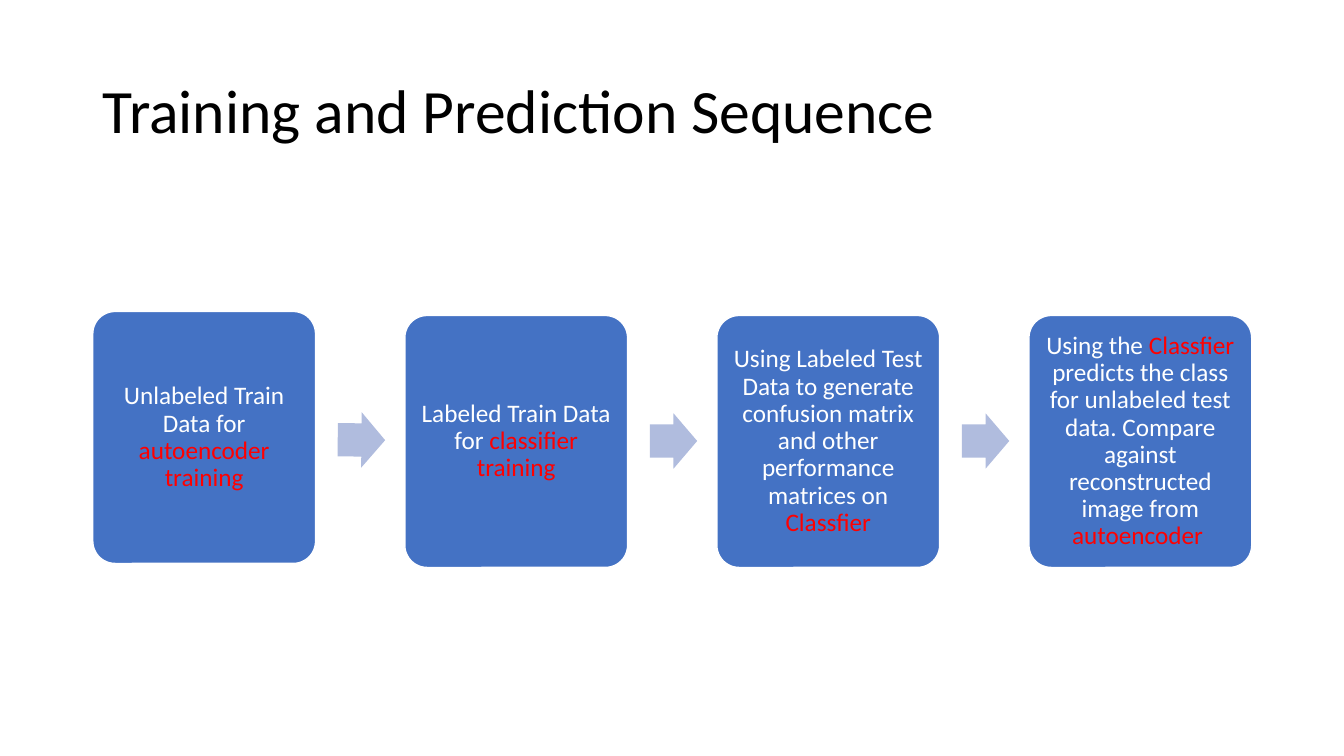
"""Builds the slide on the training and prediction sequence."""
from pptx import Presentation
from pptx.dml.color import RGBColor
from pptx.enum.shapes import MSO_SHAPE
from pptx.enum.text import MSO_ANCHOR, MSO_AUTO_SIZE, PP_ALIGN
from pptx.util import Inches, Pt

STEP_SHAPE, ARROW_SHAPE = MSO_SHAPE.ROUNDED_RECTANGLE, MSO_SHAPE.RIGHT_ARROW
MIDDLE, NO_FIT = MSO_ANCHOR.MIDDLE, MSO_AUTO_SIZE.NONE
LEFT, CENTER = PP_ALIGN.LEFT, PP_ALIGN.CENTER

HEADING = "Training and Prediction Sequence"
BLACK, WHITE, RED, BLUE, PALE_BLUE = "000000", "FFFFFF", "FF0000", "4472C4", "B0BCDE"
STEPS = [
    [("Unlabeled Train Data for ", WHITE), ("autoencoder training", RED)],
    [("Labeled Train Data for ", WHITE), ("classifier training", RED)],
    [("Using Labeled Test Data to generate confusion matrix and other "
      "performance matrices on ", WHITE), ("Classfier", RED)],
    [("Using the ", WHITE), ("Classfier", RED),
     (" predicts the class for unlabeled test data. Compare against "
      "reconstructed image from ", WHITE), ("autoencoder ", RED)],
]

STEP_LEFT, STEP_PITCH, STEP_WIDTH, STEP_HEIGHT = 0.92, 3.095, 2.21, 2.5
STEP_TOPS = [3.09, 3.13, 3.13, 3.13]
ARROW_OFFSET, ARROW_WIDTH, ARROW_HEIGHT = 2.43, 0.47, 0.55
ARROW_TOPS, ARROW_TURNS = [4.09, 4.1, 4.1], [0.6, 0, 0]
INSET = Inches(0.07)
STEP_FRAME = {"word_wrap": True, "auto_size": NO_FIT, "vertical_anchor": MIDDLE,
              "margin_left": INSET, "margin_right": INSET,
              "margin_top": INSET, "margin_bottom": INSET}
TITLE_FRAME = {"word_wrap": True, "auto_size": NO_FIT, "vertical_anchor": MIDDLE}


def color(value):
    return RGBColor.from_string(value)


def apply(target, formats):
    for name, value in formats.items():
        setattr(target, name, value)


def write(frame, runs, size, align, frame_format):
    apply(frame, frame_format)
    paragraph = frame.paragraphs[0]
    apply(paragraph, {"alignment": align, "line_spacing": 0.9})
    for words, ink in runs:
        run = paragraph.add_run()
        run.text = words
        apply(run.font, {"name": "Calibri", "size": Pt(size)})
        run.font.color.rgb = color(ink)


def add_block(slide, kind, box, adjustments, fill):
    block = slide.shapes.add_shape(kind, *map(Inches, box))
    block.shadow.inherit = False
    for index, value in enumerate(adjustments):
        block.adjustments[index] = value
    block.fill.solid()
    block.fill.fore_color.rgb = color(fill)
    return block


def main():
    deck = Presentation()
    deck.slide_width, deck.slide_height = Inches(13.33), Inches(7.5)
    slide = deck.slides.add_slide(deck.slide_layouts[5])

    heading = slide.shapes.title
    apply(heading, {"left": Inches(0.92), "top": Inches(0.4),
                    "width": Inches(11.5), "height": Inches(1.45)})
    write(heading.text_frame, [(HEADING, BLACK)], 44, LEFT, TITLE_FRAME)

    for index, (runs, top) in enumerate(zip(STEPS, STEP_TOPS)):
        left = STEP_LEFT + index * STEP_PITCH
        step = add_block(slide, STEP_SHAPE, (left, top, STEP_WIDTH, STEP_HEIGHT),
                         [0.1], BLUE)
        step.line.color.rgb = color(WHITE)
        step.line.width = Pt(1)
        write(step.text_frame, runs, 18, CENTER, STEP_FRAME)

    for index, (top, turn) in enumerate(zip(ARROW_TOPS, ARROW_TURNS)):
        left = STEP_LEFT + ARROW_OFFSET + index * STEP_PITCH
        arrow = add_block(slide, ARROW_SHAPE, (left, top, ARROW_WIDTH, ARROW_HEIGHT),
                          [0.6, 0.5], PALE_BLUE)
        arrow.line.fill.background()
        arrow.rotation = turn

    deck.save("out.pptx")


if __name__ == "__main__":
    main()
